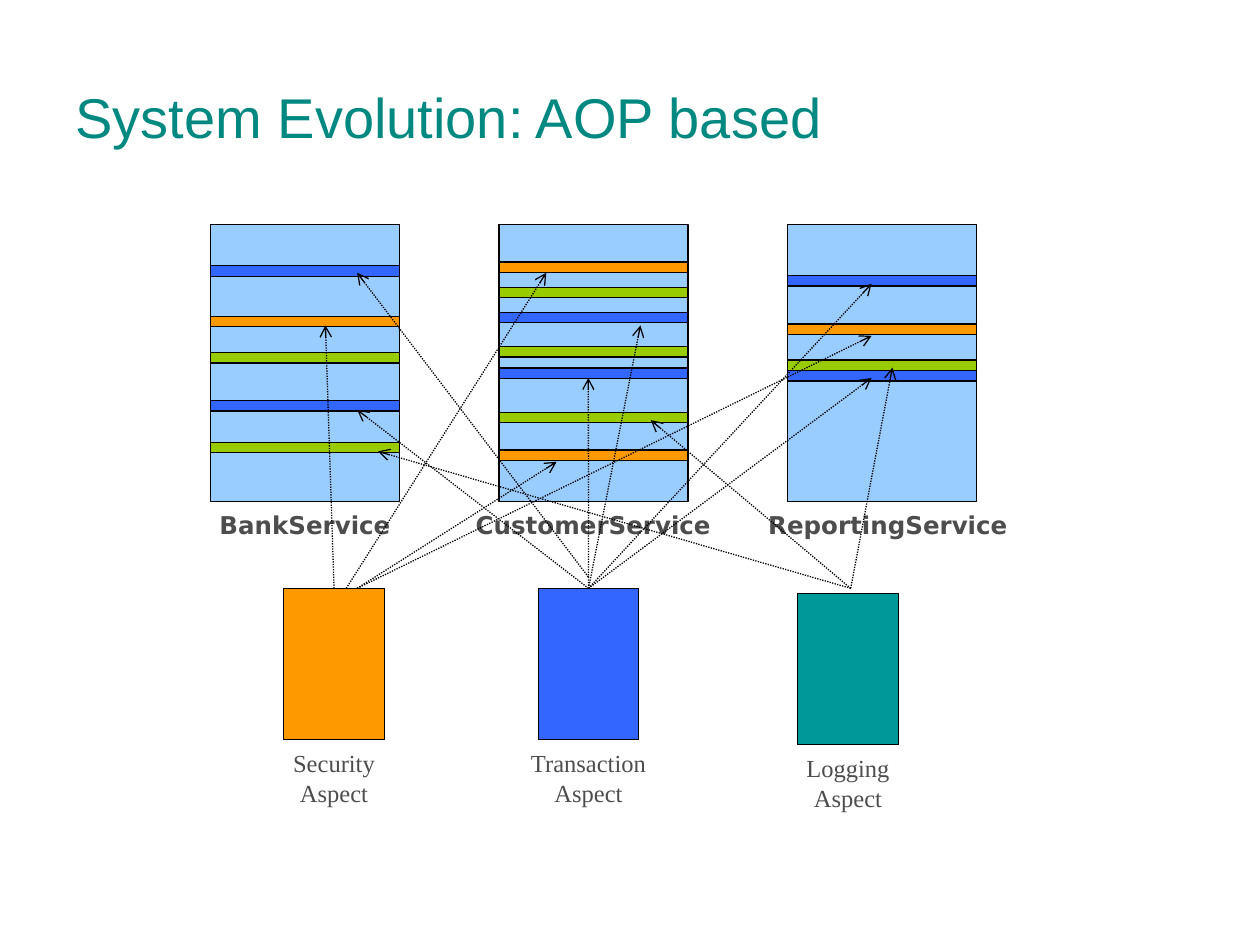
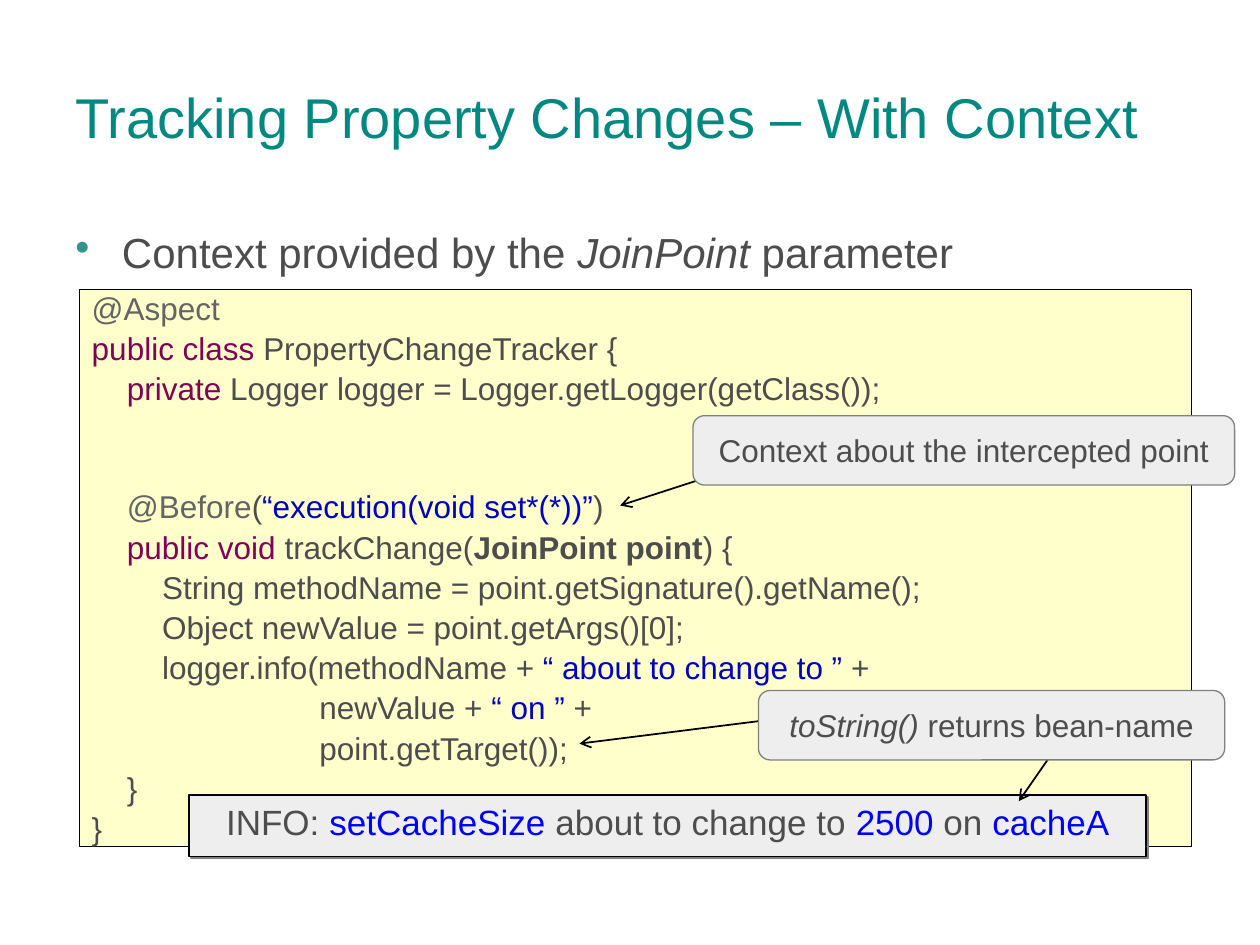
from pptx import Presentation
from pptx.dml.color import RGBColor
from pptx.enum.dml import MSO_LINE
from pptx.enum.shapes import MSO_CONNECTOR, MSO_SHAPE
from pptx.enum.text import MSO_ANCHOR, MSO_AUTO_SIZE, PP_ALIGN
from pptx.oxml import parse_xml
from pptx.oxml.ns import nsdecls, qn
from pptx.util import Cm, Pt

COLORS = {
    "title": "008881", "text": "4D4D4D", "bullet": "33928A", "line": "000000",
    "service": "99CCFF", "security": "FF9900", "transaction": "3366FF",
    "logging": "009999", "log_call": "99CC00",
    "code": "FFFFCC", "callout": "EEEEEE", "callout_line": "808080", "shadow": "808080",
    "annotation": "646464", "keyword": "7F0055", "string": "0000C0", "value": "0000FF",
}

# Services: name, label left, label width, and the tops of the bands by colour
SERVICE_LEFT, SERVICE_STEP, SERVICE_TOP = 4.24, 5.82, 4.52
SERVICE_WIDTH, SERVICE_HEIGHT, BAND_HEIGHT = 3.81, 5.59, 0.21
SERVICES = [
    ("BankService", 3.61, 5.08,
     {"transaction": [5.36, 8.08], "log_call": [7.11, 8.92], "security": [6.38]}),
    ("CustomerService", 9.32, 5.28,
     {"transaction": [6.3, 7.42], "log_call": [5.79, 6.99, 8.31],
      "security": [5.28, 9.07]}),
    ("ReportingService", 15.04, 5.72,
     {"transaction": [5.56, 7.47], "log_call": [7.26], "security": [6.53]}),
]

# Aspects: name, left, top, and arrows (start, end); no start means the top middle
ASPECT_WIDTH, ASPECT_HEIGHT, ASPECT_LABEL_WIDTH = 2.03, 3.05, 4.2
LOGGING_START = (17.15, 11.86)
ASPECTS = [
    ("Security", 5.72, 11.86, [
        (None, (6.56, 6.56)), ((7.2, 11.86), (11.22, 9.31)),
        ((6.98, 11.86), (11.01, 5.5)), ((7.2, 11.86), (17.57, 6.77))]),
    ("Transaction", 10.85, 11.86, [
        (None, (17.57, 7.62)), (None, (17.57, 5.72)), (None, (11.86, 7.62)),
        (None, (12.91, 6.56)), (None, (7.2, 8.26)), ((11.86, 11.63), (7.2, 5.5))]),
    ("Logging", 16.08, 11.96, [
        (LOGGING_START, (17.99, 7.41)), (LOGGING_START, (13.12, 8.47)),
        (LOGGING_START, (7.62, 9.1))]),
]

# Code lines: indent in cm, then spans of (text, colour, style)
INDENT, CONTINUED = 0.71, 4.59
CODE_GAP, CODE_PITCH = 5.7, 22.3
CODE = [
    (0, [("@Aspect", "annotation")]),
    (0, [("public class", "keyword"), (" PropertyChangeTracker {",)]),
    (INDENT, [("private", "keyword"), (" Logger logger = Logger.getLogger(getClass());",)]),
    (INDENT, [("@Before", "annotation"), ("(",),
              ("“execution(void set*(*))”", "string"), (")",)]),
    (INDENT, [("public void ", "keyword"), ("trackChange(",),
              ("JoinPoint point", "text", "bold"), (") {",)]),
    (2 * INDENT, [("String methodName = point.getSignature().getName();",)]),
    (2 * INDENT, [("Object newValue = point.getArgs()[0];",)]),
    (2 * INDENT, [("logger.info(methodName +",), (" “ about to change to ” ", "string"),
                  ("+",)]),
    (CONTINUED, [("newValue + ",), ("“ on ”", "string"), (" +",)]),
    (CONTINUED, [("point.getTarget());",)]),
    (INDENT, [("}",)]),
    (0, [("}",)]),
]
LINE_BEFORE_GAP = 3  # the code line that follows a two-line gap


def rgb(name):
    return RGBColor.from_string(COLORS[name])


def add_span(para, text, color="text", style=None, size=18, font="Arial"):
    span = para.add_run()
    span.text = text
    span.font.name, span.font.size = font, Pt(size)
    span.font.color.rgb = rgb(color)
    span.font.bold, span.font.italic = style == "bold", style == "italic"


def add_para(frame, spans, size=18, font="Arial", align=PP_ALIGN.LEFT,
             before=0, spacing=1.0, indent=0):
    """Write one paragraph, using the frame's first one while it is empty."""
    para = frame.paragraphs[-1]
    if para.runs:
        para = frame.add_paragraph()
    para.alignment, para.line_spacing, para.space_before = align, spacing, Pt(before)
    if indent:
        para._p.get_or_add_pPr().set("marL", str(Cm(indent)))
    for span in spans:
        add_span(para, *span, size=size, font=font)
    return para


def prepare_frame(shape, anchor=MSO_ANCHOR.TOP, wrap=True):
    frame = shape.text_frame
    frame.word_wrap, frame.auto_size = wrap, MSO_AUTO_SIZE.NONE
    frame.vertical_anchor = anchor
    return frame


def add_page(deck, title):
    page = deck.slides.add_slide(deck.slide_layouts[5])
    holder = page.shapes.title
    holder.left, holder.top, holder.width, holder.height = map(Cm, (1.27, 0.76, 22.86, 3.18))
    add_para(prepare_frame(holder, MSO_ANCHOR.MIDDLE), [(title, "title")], size=32)
    return page


def add_box(page, left, top, width, height, fill, line="line", weight=0.75,
            kind=MSO_SHAPE.RECTANGLE):
    box = page.shapes.add_shape(kind, Cm(left), Cm(top), Cm(width), Cm(height))
    box.shadow.inherit = False
    box.fill.solid()
    box.fill.fore_color.rgb = rgb(fill)
    box.line.color.rgb = rgb(line)
    box.line.width = Pt(weight)
    return box


def add_label(page, left, top, width, height, lines, **style):
    box = page.shapes.add_textbox(Cm(left), Cm(top), Cm(width), Cm(height))
    frame = prepare_frame(box)
    for line in lines:
        add_para(frame, line, **style)
    return frame


def add_arrow(page, start, end, weight=1.0, dash=None, source=None):
    arrow = page.shapes.add_connector(MSO_CONNECTOR.STRAIGHT, *map(Cm, (*start, *end)))
    if source is not None:
        arrow.begin_connect(source, 0)
    arrow.line.color.rgb = rgb("line")
    arrow.line.width = Pt(weight)
    if dash:
        arrow.line.dash_style = dash
    arrow.line._get_or_add_ln().append(
        parse_xml(f'<a:tailEnd {nsdecls("a")} type="arrow"/>'))
    arrow._element.spPr.append(parse_xml(f'<a:effectLst {nsdecls("a")}/>'))


def add_callout(page, left, top, width, spans):
    box = add_box(page, left, top, width, 1.4, "callout", "callout_line", 0,
                  MSO_SHAPE.ROUNDED_RECTANGLE)
    add_para(prepare_frame(box, MSO_ANCHOR.MIDDLE, wrap=False), spans,
             align=PP_ALIGN.CENTER)


def add_bullet(para, indent):
    props = para._p.get_or_add_pPr()
    props.set("marL", str(Cm(indent)))
    props.set("indent", str(-Cm(indent)))
    props.append(parse_xml(f'<a:buClr {nsdecls("a")}><a:srgbClr val="{COLORS["bullet"]}"/>'
                           '</a:buClr>'))
    props.append(parse_xml(f'<a:buChar {nsdecls("a")} char="•"/>'))


def add_hard_shadow(box):
    effects = box._element.spPr.find(qn("a:effectLst"))
    effects.append(parse_xml(
        f'<a:outerShdw {nsdecls("a")} dist="{Pt(1.4)}" dir="2700000">'
        f'<a:srgbClr val="{COLORS["shadow"]}"/></a:outerShdw>'))


def build_evolution(deck):
    page = add_page(deck, "System Evolution: AOP based")

    # Services with the bands woven into them
    for column, (name, label_left, label_width, bands) in enumerate(SERVICES):
        left = SERVICE_LEFT + column * SERVICE_STEP
        add_box(page, left, SERVICE_TOP, SERVICE_WIDTH, SERVICE_HEIGHT, "service")
        add_label(page, label_left, 10.16, label_width, 0.86, [[(name, "text", "bold")]],
                  size=14, font="DejaVu Sans", align=PP_ALIGN.CENTER)
        for color, tops in bands.items():
            for top in tops:
                add_box(page, left, top, SERVICE_WIDTH, BAND_HEIGHT, color)

    # Aspects
    aspect_boxes = []
    for name, left, top, _ in ASPECTS:
        aspect_boxes.append(
            add_box(page, left, top, ASPECT_WIDTH, ASPECT_HEIGHT, name.lower()))
        label_left = left + (ASPECT_WIDTH - ASPECT_LABEL_WIDTH) / 2
        add_label(page, label_left, top + 3.1, ASPECT_LABEL_WIDTH, 1.45,
                  [[(name,)], [("Aspect",)]],
                  size=14, font="Times New Roman", align=PP_ALIGN.CENTER)

    # Arrows from each aspect to its bands
    for box, (_, left, top, arrows) in zip(aspect_boxes, ASPECTS):
        for start, end in arrows:
            add_arrow(page, start or (left + ASPECT_WIDTH / 2, top), end, 0.75,
                      MSO_LINE.ROUND_DOT, source=None if start else box)


def build_tracking(deck):
    page = add_page(deck, "Tracking Property Changes – With Context")

    # Bullet
    intro = [("Context provided by the ",), ("JoinPoint", "text", "italic"), (" parameter",)]
    frame = add_label(page, 1.27, 4.45, 22.86, 1.27, [intro], size=24, before=6)
    add_bullet(frame.paragraphs[0], 0.94)

    # Code
    code_frame = prepare_frame(add_box(page, 1.6, 5.84, 22.43, 11.23, "code", weight=0.5))
    for number, (indent, spans) in enumerate(CODE):
        gap = 2 * CODE_PITCH if number == LINE_BEFORE_GAP else 0
        add_para(code_frame, spans, before=CODE_GAP + gap, spacing=0.8, indent=indent)

    # Logged output
    output = add_box(page, 3.81, 16.03, 19.3, 1.24, "callout", weight=1)
    add_hard_shadow(output)
    add_para(prepare_frame(output, MSO_ANCHOR.MIDDLE),
             [("INFO: ",), ("setCacheSize", "value"), (" about to change to ",),
              ("2500", "value"), (" on ",), ("cacheA", "value")],
             size=20, align=PP_ALIGN.CENTER, before=5, spacing=0.8)

    # Callouts, over the starts of their arrows
    for start, end in [((15.34, 9.27), (12.5, 10.19)), ((15.75, 14.48), (11.68, 14.99)),
                       ((21.7, 14.48), (20.54, 16.15))]:
        add_arrow(page, start, end)
    add_callout(page, 13.97, 8.38, 10.92, [("Context about the intercepted point",)])
    add_callout(page, 15.29, 13.92, 9.4,
                [("toString()", "text", "italic"), (" returns bean-name",)])


def main():
    deck = Presentation()
    deck.slide_width, deck.slide_height = Cm(25.4), Cm(19.05)
    build_evolution(deck)
    build_tracking(deck)
    deck.save("out.pptx")


if __name__ == "__main__":
    main()
